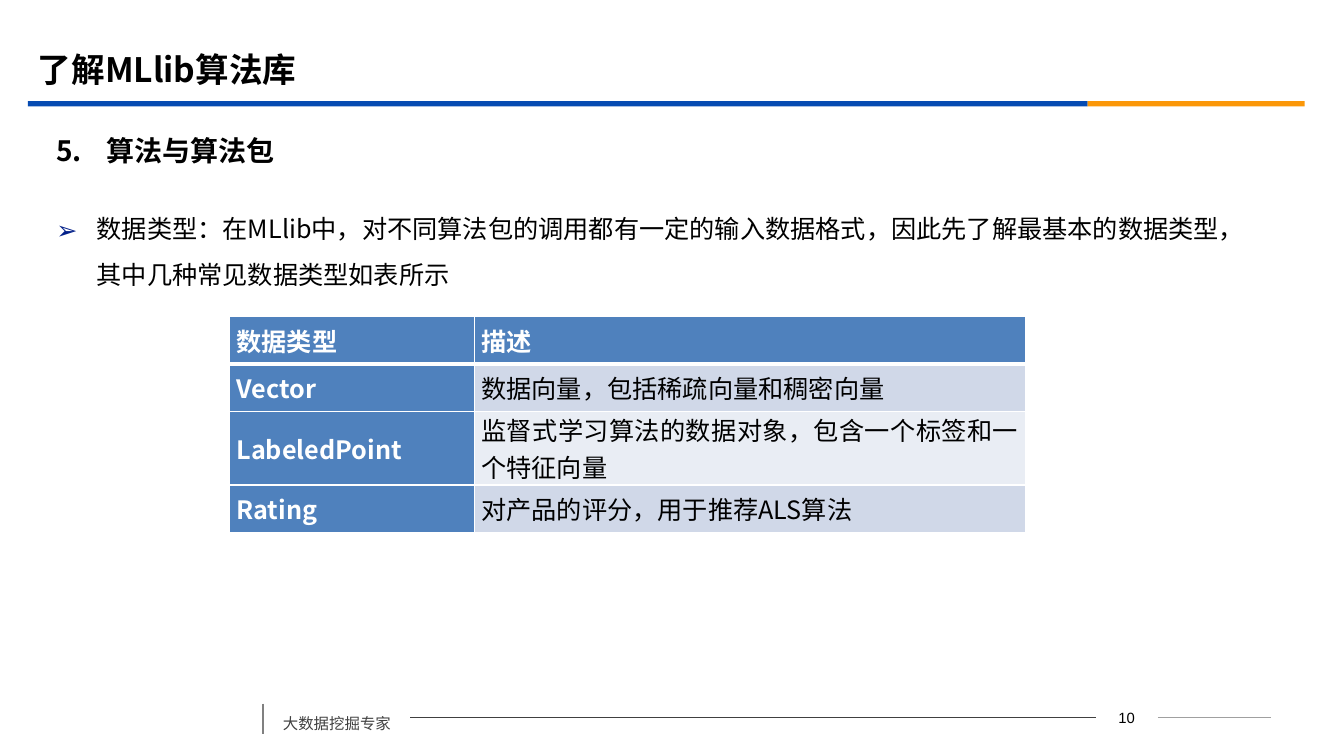
from collections import namedtuple

from lxml import etree
from pptx import Presentation
from pptx import util as u
from pptx.dml.color import RGBColor
from pptx.enum import shapes, text
from pptx.oxml import ns

Box = namedtuple("Box", "left top width height")

WHITE = RGBColor(0xFF, 0xFF, 0xFF)
BLACK = RGBColor(0, 0, 0)
BLUE = RGBColor(0x06, 0x4B, 0xB2)
ORANGE = RGBColor(0xFB, 0x97, 0x08)
BULLET_BLUE = RGBColor(0x03, 0x20, 0x89)
TABLE_BLUE = RGBColor(0x4F, 0x81, 0xBD)
BANDS = (RGBColor(0xD0, 0xD8, 0xE8), RGBColor(0xE9, 0xED, 0xF4))
DARK_GRAY = RGBColor(0x40, 0x40, 0x40)
GRAY = RGBColor(0x80, 0x80, 0x80)
LIGHT_GRAY = RGBColor(0xA0, 0xA0, 0xA0)
FONT = "Noto Sans CJK SC"

DATA_TYPES = (
    ("数据类型", "描述"),
    ("Vector", "数据向量，包括稀疏向量和稠密向量"),
    ("LabeledPoint", "监督式学习算法的数据对象，包含一个标签和一个特征向量"),
    ("Rating", "对产品的评分，用于推荐ALS算法"),
)


def add_node(parent, tag, **attributes):
    return etree.SubElement(parent, ns.qn(tag), attributes)


def write(frame, words, size, color, bold=False, font=FONT):
    frame.text = words
    para = frame.paragraphs[0]
    span = para.runs[0]
    span.font.size = u.Pt(size)
    span.font.bold = bold
    span.font.name = font
    span.font.color.rgb = color
    add_node(span.font._element, "a:ea", typeface=font)
    return para


def add_text(page, box, words, size, color, **style):
    frame = page.shapes.add_textbox(*map(u.Cm, box)).text_frame
    frame.word_wrap = True
    return frame, write(frame, words, size, color, **style)


def add_bullet(para, indent, color, tag, **attributes):
    properties = para._p.get_or_add_pPr()
    properties.set("marL", str(u.Cm(indent)))
    properties.set("indent", str(-u.Cm(indent)))
    add_node(add_node(properties, "a:buClr"), "a:srgbClr", val=str(color))
    add_node(properties, "a:buFont", typeface=FONT)
    add_node(properties, tag, **attributes)


def add_line(page, start, end, color, weight):
    line = page.shapes.add_connector(
        shapes.MSO_CONNECTOR.STRAIGHT, *map(u.Cm, start + end))
    line.line.color.rgb = color
    line.line.width = u.Pt(weight)
    add_node(line._element.spPr, "a:effectLst")


def add_header(page, box):
    title = page.shapes.title
    title.left, title.top = u.Cm(box.left), u.Cm(box.top)
    title.width, title.height = u.Cm(30.48), u.Cm(1.47)
    frame = title.text_frame
    frame.auto_size = text.MSO_AUTO_SIZE.NONE
    frame.vertical_anchor = text.MSO_ANCHOR.MIDDLE
    para = write(frame, "了解MLlib算法库", 24, BLACK, bold=True)
    para.alignment = text.PP_ALIGN.LEFT

    left = box.left
    for share, color in ((0.83, BLUE), (0.17, ORANGE)):
        width = box.width * share
        bar = page.shapes.add_shape(
            shapes.MSO_SHAPE.RECTANGLE, u.Cm(left),
            u.Cm(box.top + box.height - 0.13), u.Cm(width), u.Cm(0.13))
        bar.shadow.inherit = False
        bar.fill.solid()
        bar.fill.fore_color.rgb = color
        bar.line.fill.background()
        left += width


def add_body(page, box):
    frame, para = add_text(page, box._replace(height=1.19),
                           "算法与算法包", 20, BLACK, bold=True)
    frame.vertical_anchor = text.MSO_ANCHOR.MIDDLE
    para.space_before = u.Pt(4)
    add_bullet(para, 1.27, BLACK, "a:buAutoNum",
               type="arabicPeriod", startAt="5")

    offset = 1.7
    box = box._replace(top=box.top + offset, height=box.height - offset)
    frame, para = add_text(
        page, box, "数据类型：在MLlib中，对不同算法包的调用都有一定的输入数据格式，"
        "因此先了解最基本的数据类型，其中几种常见数据类型如表所示", 18, BLACK)
    para.line_spacing = 1.5
    para.space_before = u.Pt(10)
    add_bullet(para, 1.02, BULLET_BLUE, "a:buChar", char="➢")


def set_borders(cell, top, bottom):
    properties = cell._tc.get_or_add_tcPr()
    for side, weight in (("L", 1), ("R", 1), ("T", top), ("B", bottom)):
        border = add_node(properties, f"a:ln{side}", w=str(u.Pt(weight)))
        fill = add_node(border, "a:solidFill")
        add_node(fill, "a:srgbClr", val=str(WHITE))


def add_type_table(page, box):
    table = page.shapes.add_table(
        len(DATA_TYPES), 2, *map(u.Cm, box)).table
    for column, width in zip(table.columns, (6.17, box.width - 6.17)):
        column.width = u.Cm(width)
    for row, height in zip(table.rows, (1.19, 1.19, 1.86, 1.19)):
        row.height = u.Cm(height)
    for r, record in enumerate(DATA_TYPES):
        for c, words in enumerate(record):
            cell = table.cell(r, c)
            heading = r == 0 or c == 0
            cell.margin_left = cell.margin_right = u.Cm(0.18)
            cell.margin_top = cell.margin_bottom = 0
            cell.vertical_anchor = text.MSO_ANCHOR.MIDDLE
            set_borders(cell, 3 if r == 1 else 1, 3 if r == 0 else 1)
            cell.fill.solid()
            cell.fill.fore_color.rgb = (
                TABLE_BLUE if heading else BANDS[(r - 1) % 2])
            para = write(cell.text_frame, words, 18,
                         WHITE if heading else BLACK, bold=heading)
            para.alignment = text.PP_ALIGN.JUSTIFY


def add_footer(page, box):
    left, top = box.left, box.top
    right = left + box.width
    middle = top + 0.45
    add_line(page, (left, top + 0.1), (left, top + 0.86), GRAY, 1.25)
    add_line(page, (left + 3.71, middle), (right - 4.42, middle),
             DARK_GRAY, 0.75)
    add_line(page, (right - 2.85, middle), (right, middle), LIGHT_GRAY, 0.75)

    para = add_text(page, Box(left + 0.25, top, 3.45, box.height),
                    "大数据挖掘专家", 11, DARK_GRAY)[1]
    para.line_spacing = 1.5
    para.space_before = u.Pt(6)

    frame, para = add_text(page, Box(right - 4.42, top + 0.12, 1.57, 0.64),
                           "10", 10.6, BLACK, font="Arial")
    frame.vertical_anchor = text.MSO_ANCHOR.MIDDLE
    para.alignment = text.PP_ALIGN.CENTER


def main():
    deck = Presentation()
    deck.slide_width, deck.slide_height = u.Cm(33.87), u.Cm(19.05)
    page = deck.slides.add_slide(deck.slide_layouts[5])
    add_header(page, Box(0.7, 1, 32.18, 1.68))
    add_body(page, Box(1.17, 3.18, 30.86, 13.84))
    add_type_table(page, Box(5.78, 7.98, 20.06, 5.43))
    add_footer(page, Box(6.63, 17.63, 25.4, 0.97))
    deck.save("out.pptx")


if __name__ == "__main__":
    main()
